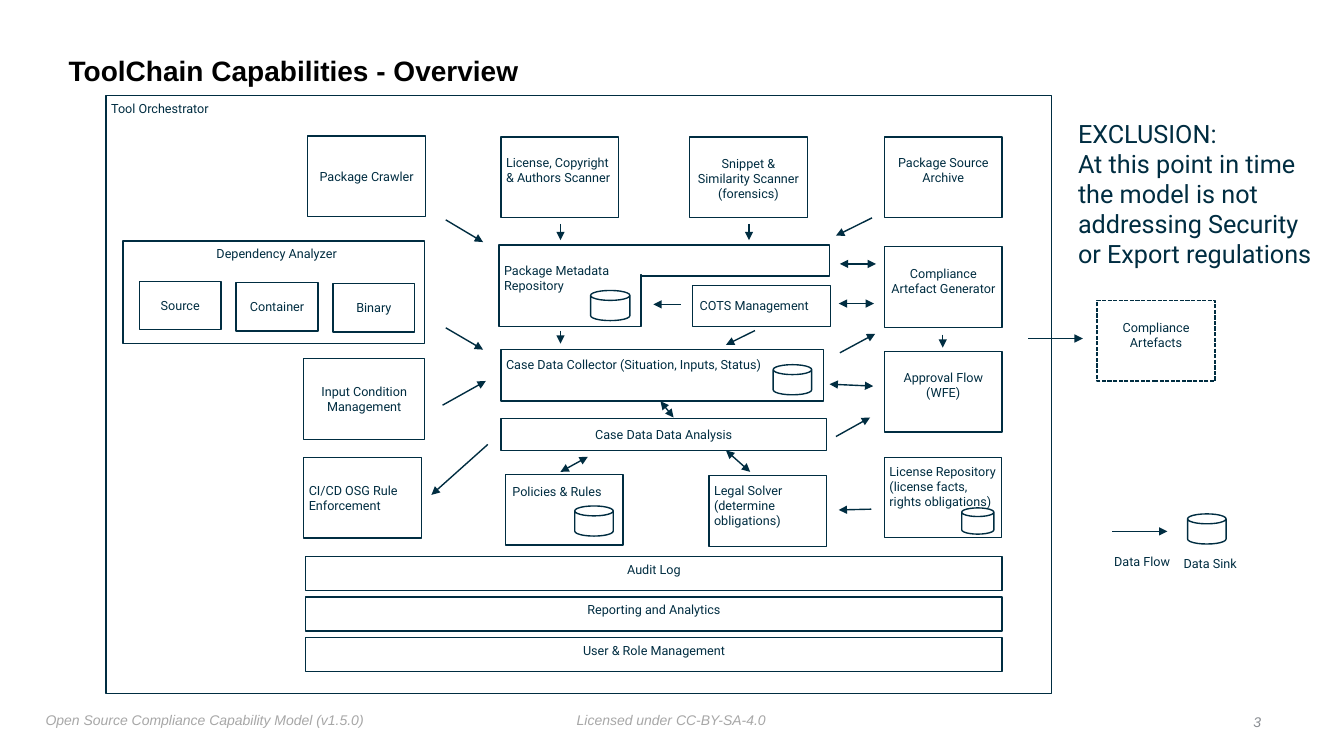
from pptx import Presentation
from pptx import util as u
from pptx.dml.color import RGBColor
from pptx.enum import dml, shapes, text
from pptx.oxml import parse_xml
from pptx.oxml.ns import nsdecls, qn

NAVY = RGBColor(0x00, 0x2D, 0x41)
WHITE = RGBColor(0xFF, 0xFF, 0xFF)
BLACK = RGBColor(0x00, 0x00, 0x00)
SILVER = RGBColor(0xA7, 0xA7, 0xA7)
GREY = RGBColor(0x88, 0x8C, 0x91)

LEFT, MID, RIGHT = text.PP_ALIGN.LEFT, text.PP_ALIGN.CENTER, text.PP_ALIGN.RIGHT
PAD = 0.13
W, H = 2.97, 2.03    # usual box size, cm
RIM = 22.28          # right-hand column
COL = 12.62          # centre column

# Content, in cm: label, left, top, width, height, alignment,
# top inset (None centres the text), left inset
TITLE = "ToolChain Capabilities - Overview"
BOXES = [
    ("Tool Orchestrator", 2.67, 2.41, 23.83, 15.06, LEFT, PAD, PAD),
    ("Package Crawler", 7.75, 3.43, W, H, MID, None, PAD),
    ("License, Copyright & Authors Scanner", COL, 3.45, W, H, LEFT, 0.46, PAD),
    ("Snippet & Similarity Scanner\n(forensics)", 17.37, 3.45, W, H, MID, 0.48, PAD),
    ("Package Source Archive", RIM, 3.45, W, H, MID, 0.46, PAD),
    ("Compliance Artefact Generator", RIM, 6.22, W, H, MID, 0.48, PAD),
    ("Approval Flow (WFE)", RIM, 8.86, W, H, MID, 0.46, PAD),
    ("License Repository (license facts, rights obligations)",
     RIM, 11.53, 2.95, 2.01, LEFT, 0.15, PAD),
    ("Package Metadata Repository", 12.57, 6.17, 3.58, 2.06, LEFT, 0.46, PAD),
    ("COTS Management", 17.45, 7.19, 3.48, 1.04, LEFT, None, 0.18),
    ("Case Data Collector (Situation, Inputs, Status)",
     COL, 8.81, 8.13, 1.3, LEFT, 0.18, PAD),
    ("Case Data Data Analysis", COL, 10.54, 8.2, 0.81, MID, None, PAD),
    ("Policies & Rules", 12.73, 11.96, W, 1.78, LEFT, 0.23, 0.18),
    ("Legal Solver (determine obligations)", 17.86, 11.99, W, 1.78, LEFT, 0.18, PAD),
    ("Dependency Analyzer", 3.1, 6.07, 7.59, 2.59, MID, PAD, 0.28),
    ("Input Condition Management", 7.65, 9.04, 3.05, H, MID, None, PAD),
    ("CI/CD OSG Rule Enforcement", 7.65, 11.53, W, H, LEFT, None, PAD),
]
OUTPUT = ("Compliance Artefacts", 27.64, 7.57, W, H, MID, 0.48, PAD)
PARTS = ["Source", "Container", "Binary"]
BARS = ["Audit Log", "Reporting and Analytics", "User & Role Management"]
SINKS = [(19.48, 9.19, 0.97, 0.76), (24.23, 12.8, 0.81, 0.66),
         (14.88, 7.32, 0.99, 0.76), (29.92, 12.95, 0.97, 0.76),
         (14.48, 12.75, 0.97, 0.76)]
FLOWS = [  # from x, y to x, y
    (12.29, 11.2, 10.87, 12.47), (11.23, 8.26, 12.17, 8.81),
    (11.15, 10.21, 12.24, 9.6), (14.12, 8.33, 14.12, 8.66),
    (14.12, 5.64, 14.12, 6.05), (21.16, 8.89, 22.05, 8.41),
    (11.23, 5.54, 12.17, 6.1), (25.91, 8.53, 27.28, 8.53),
    (17.15, 7.67, 16.46, 7.67), (21.95, 12.83, 21.13, 12.85),
    (23.75, 8.43, 23.75, 8.76), (21.97, 5.49, 21.06, 5.94),
    (19.02, 8.33, 18.29, 8.69), (18.87, 5.64, 18.87, 6.05),
    (28.02, 13.39, 29.41, 13.39), (21.06, 11, 21.92, 10.52),
]
SWAPS = [  # arrows with two heads
    (14.12, 11.89, 14.81, 11.51), (21.16, 6.65, 22.07, 6.65),
    (21.13, 7.65, 22.02, 7.65), (18.9, 11.89, 18.29, 11.35),
    (20.9, 9.68, 22, 9.73), (16.97, 10.52, 16.64, 10.11),
]
NOTE = ["EXCLUSION:", "At this point in time\nthe model is not",
        "addressing Security", "or Export regulations"]
# paragraphs, left, top, width, height, size, font, colour, italic, alignment
LABELS = [
    (NOTE, 27.03, 2.84, 6.25, 4.11, 18, "Roboto", NAVY, False, LEFT),
    (["Data Flow"], 27.94, 13.84, 1.7, 0.64, 9, "Roboto", NAVY, False, LEFT),
    (["Data Sink"], 29.69, 13.87, 1.6, 0.64, 9, "Roboto", NAVY, False, LEFT),
    (["Open Source Compliance Capability Model (v1.5.0)"],
     1.02, 17.81, 8.43, 0.69, 10, "Arial", SILVER, True, LEFT),
    (["Licensed under CC-BY-SA-4.0"],
     14.4, 17.81, 5.05, 0.64, 10, "Arial", SILVER, True, LEFT),
    (["3"], 31.42, 17.86, 0.48, 0.64, 10, "Arial", GREY, True, RIGHT),
]

deck = Presentation()
deck.slide_width, deck.slide_height = u.Cm(33.86), u.Cm(19.05)
slide = deck.slides.add_slide(deck.slide_layouts[5])


def cm(*nums):
    return [u.Cm(n) for n in nums]


def inset(frame, top=PAD, left=PAD):
    frame.margin_left, frame.margin_top = cm(left, top)
    frame.margin_right = frame.margin_bottom = u.Cm(PAD)


def write(para, words, size, font, hue, bold=False, slant=False, align=LEFT):
    para.alignment = align
    for i, line in enumerate(words.split("\n")):
        if i:
            para.add_line_break()
        run = para.add_run()
        run.text = line
        run.font.size, run.font.name = u.Pt(size), font
        run.font.bold, run.font.italic = bold, slant
        run.font.color.rgb = hue


def draw(kind, left, top, wide, high, edge=True):
    shape = slide.shapes.add_shape(kind, *cm(left, top, wide, high))
    shape.shadow.inherit = False
    shape.fill.solid()
    shape.fill.fore_color.rgb = WHITE
    if edge:
        shape.line.color.rgb = NAVY
        shape.line.width = u.Pt(1)
    else:
        shape.line.fill.background()
    return shape


def box(words, left, top, wide, high, align=MID, drop=None, lead=PAD):
    shape = draw(shapes.MSO_SHAPE.RECTANGLE, left, top, wide, high)
    frame = shape.text_frame
    frame.word_wrap = True
    inset(frame, PAD if drop is None else drop, lead)
    frame.vertical_anchor = (text.MSO_ANCHOR.MIDDLE if drop is None
                             else text.MSO_ANCHOR.TOP)
    write(frame.paragraphs[0], words, 9, "Roboto", NAVY, align=align)
    return shape


def arrow(ends, both):
    line = slide.shapes.add_connector(shapes.MSO_CONNECTOR.STRAIGHT, *cm(*ends))
    line.line.color.rgb = NAVY
    line.line.width = u.Pt(1)
    props = line._element.spPr
    for tag in ["headEnd", "tailEnd"] if both else ["tailEnd"]:
        props.find(qn("a:ln")).append(
            parse_xml(f'<a:{tag} {nsdecls("a")} type="triangle"/>'))
    props.append(parse_xml(f'<a:effectLst {nsdecls("a")}/>'))


# Title
head = slide.shapes.title
head.left, head.top, head.width, head.height = cm(1.6, 0.99, 27.31, 1.65)
frame = head.text_frame
frame.auto_size = text.MSO_AUTO_SIZE.NONE
frame.vertical_anchor = text.MSO_ANCHOR.MIDDLE
inset(frame)
write(frame.paragraphs[0], TITLE, 20, "Arial", BLACK, bold=True)
frame.paragraphs[0].line_spacing = 0.9

# Capability boxes
for item in BOXES:
    box(*item)
box(*OUTPUT).line.dash_style = dml.MSO_LINE.SQUARE_DOT
for i, name in enumerate(PARTS):
    box(name, 3.51 + 2.44 * i, 7.09 + 0.03 * i, 2.06, 1.22)
for i, name in enumerate(BARS):
    box(name, 7.7, 14.02 + 1.02 * i, 17.55, 0.86, MID, PAD)

# Arm of the metadata repository, with the seam covered
draw(shapes.MSO_SHAPE.RECTANGLE, 16.15, 6.17, 4.75, 0.79)
draw(shapes.MSO_SHAPE.RECTANGLE, 15.93, 6.2, 0.41, 0.71, edge=False)

# Data sinks and data flows
for place in SINKS:
    draw(shapes.MSO_SHAPE.CAN, *place).adjustments[0] = 0.33
for ends in FLOWS:
    arrow(ends, False)
for ends in SWAPS:
    arrow(ends, True)

# Side note, legend and footer
for paras, left, top, wide, high, size, font, hue, slant, align in LABELS:
    frame = slide.shapes.add_textbox(*cm(left, top, wide, high)).text_frame
    frame.word_wrap = False
    inset(frame)
    for i, words in enumerate(paras):
        para = frame.add_paragraph() if i else frame.paragraphs[0]
        write(para, words, size, font, hue, slant=slant, align=align)

deck.save("out.pptx")
